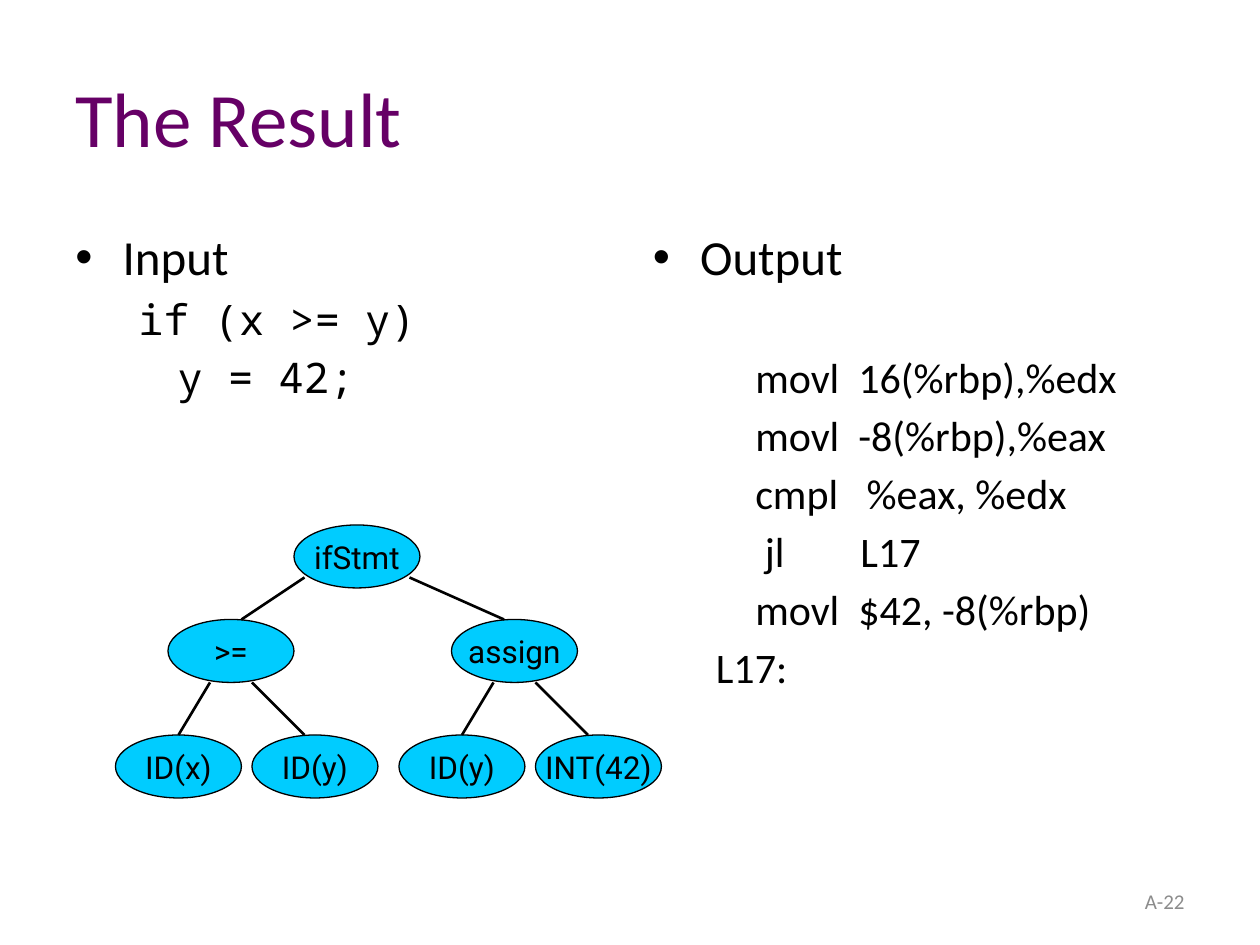
from lxml.etree import SubElement
from pptx import Presentation
from pptx.dml.color import RGBColor
from pptx.enum.shapes import MSO_CONNECTOR, MSO_SHAPE
from pptx.enum.text import MSO_ANCHOR, PP_ALIGN
from pptx.oxml.ns import qn
from pptx.util import Pt

PURPLE = RGBColor(0x66, 0x00, 0x66)
BLACK = RGBColor(0x00, 0x00, 0x00)
GRAY = RGBColor(0x8C, 0x8C, 0x8C)
CYAN = RGBColor(0x00, 0xCC, 0xFF)

TITLE = "The Result"
PAGE = "A-22"
COLUMNS = [
    {"left": 36, "heading": "Input", "font": "Noto Sans Mono", "gap": 4.3,
     "code": ["if (x >= y)", "\ty = 42;"]},
    {"left": 366, "heading": "Output", "font": "Calibri", "gap": 37.9,
     "code": ["\tmovl  16(%rbp),%edx", "\tmovl  -8(%rbp),%eax",
              "\tcmpl   %eax, %edx", "\t jl        L17",
              "\tmovl  $42, -8(%rbp)", "L17:"]},
]
NODES = {
    "root": ("ifStmt", 168, 300),
    "test": (">=", 96, 354),
    "test left": ("ID(x)", 66, 420),
    "test right": ("ID(y)", 144, 420),
    "body": ("assign", 258, 354),
    "body left": ("ID(y)", 228, 420),
    "body right": ("INT(42)", 306, 420),
}
NODE_WIDTH, NODE_HEIGHT = 72, 36
EDGES = [
    ("root", "test", (6, 30), 6),
    ("root", "body", (66, 30), -6),
    ("test", "test left", (24, 36), 0),
    ("test", "test right", (48, 36), -6),
    ("body", "body left", (24, 36), 0),
    ("body", "body right", (48, 36), -6),
]


def write(paragraph, text, size, font="Calibri", color=BLACK,
          align=PP_ALIGN.LEFT, before=0, margin=0, indent=0, bullet=None):
    properties = paragraph._p.get_or_add_pPr()
    properties.set("marL", str(Pt(margin)))
    properties.set("indent", str(Pt(indent)))
    if bullet:
        SubElement(properties, qn("a:buFont"), typeface="Arial")
        SubElement(properties, qn("a:buChar"), char=bullet)
    else:
        SubElement(properties, qn("a:buNone"))
    paragraph.alignment = align
    paragraph.space_before = Pt(before)
    run = paragraph.add_run()
    run.text = text
    run.font.size = Pt(size)
    run.font.name = font
    run.font.color.rgb = color


def add_box(slide, left, top, width, height, anchor):
    frame = slide.shapes.add_textbox(Pt(left), Pt(top), Pt(width), Pt(height)).text_frame
    frame.word_wrap = True
    frame.vertical_anchor = anchor
    return frame


def add_column(slide, column):
    frame = add_box(slide, column["left"], 126, 318, 356.4, MSO_ANCHOR.TOP)
    write(frame.paragraphs[0], column["heading"], 28, margin=27, indent=-27, bullet="•")
    for number, line in enumerate(column["code"]):
        write(frame.add_paragraph(), line, 24, font=column["font"],
              before=4.3 if number else column["gap"], margin=58.5, indent=-22.5)


def add_node(slide, label, left, top):
    node = slide.shapes.add_shape(MSO_SHAPE.OVAL, Pt(left), Pt(top),
                                  Pt(NODE_WIDTH), Pt(NODE_HEIGHT))
    node.shadow.inherit = False
    node.fill.solid()
    node.fill.fore_color.rgb = CYAN
    node.line.color.rgb = BLACK
    node.line.width = Pt(0.75)
    node.text_frame.word_wrap = False
    node.text_frame.vertical_anchor = MSO_ANCHOR.MIDDLE
    write(node.text_frame.paragraphs[0], label, 18, font="Roboto", align=PP_ALIGN.CENTER)
    return node


def add_edge(slide, parent, child, start, shift):
    edge = slide.shapes.add_connector(
        MSO_CONNECTOR.STRAIGHT,
        parent.left + Pt(start[0]), parent.top + Pt(start[1]),
        child.left + Pt(NODE_WIDTH / 2 + shift), child.top)
    edge.line.color.rgb = BLACK
    edge.line.width = Pt(1.5)
    SubElement(edge._element.spPr, qn("a:effectLst"))
    if shift == 0:
        edge.end_connect(child, 0)


def main():
    deck = Presentation()
    deck.slide_width, deck.slide_height = Pt(720), Pt(540)
    slide = deck.slides.add_slide(deck.slide_layouts[6])
    title = add_box(slide, 36, 21.6, 648, 90, MSO_ANCHOR.MIDDLE)
    write(title.paragraphs[0], TITLE, 44, color=PURPLE)
    for column in COLUMNS:
        add_column(slide, column)
    page = add_box(slide, 516, 500.4, 168, 28.8, MSO_ANCHOR.MIDDLE)
    write(page.paragraphs[0], PAGE, 12, color=GRAY, align=PP_ALIGN.RIGHT)
    nodes = {key: add_node(slide, *place) for key, place in NODES.items()}
    for parent, child, start, shift in EDGES:
        add_edge(slide, nodes[parent], nodes[child], start, shift)
    deck.save("out.pptx")


if __name__ == "__main__":
    main()
